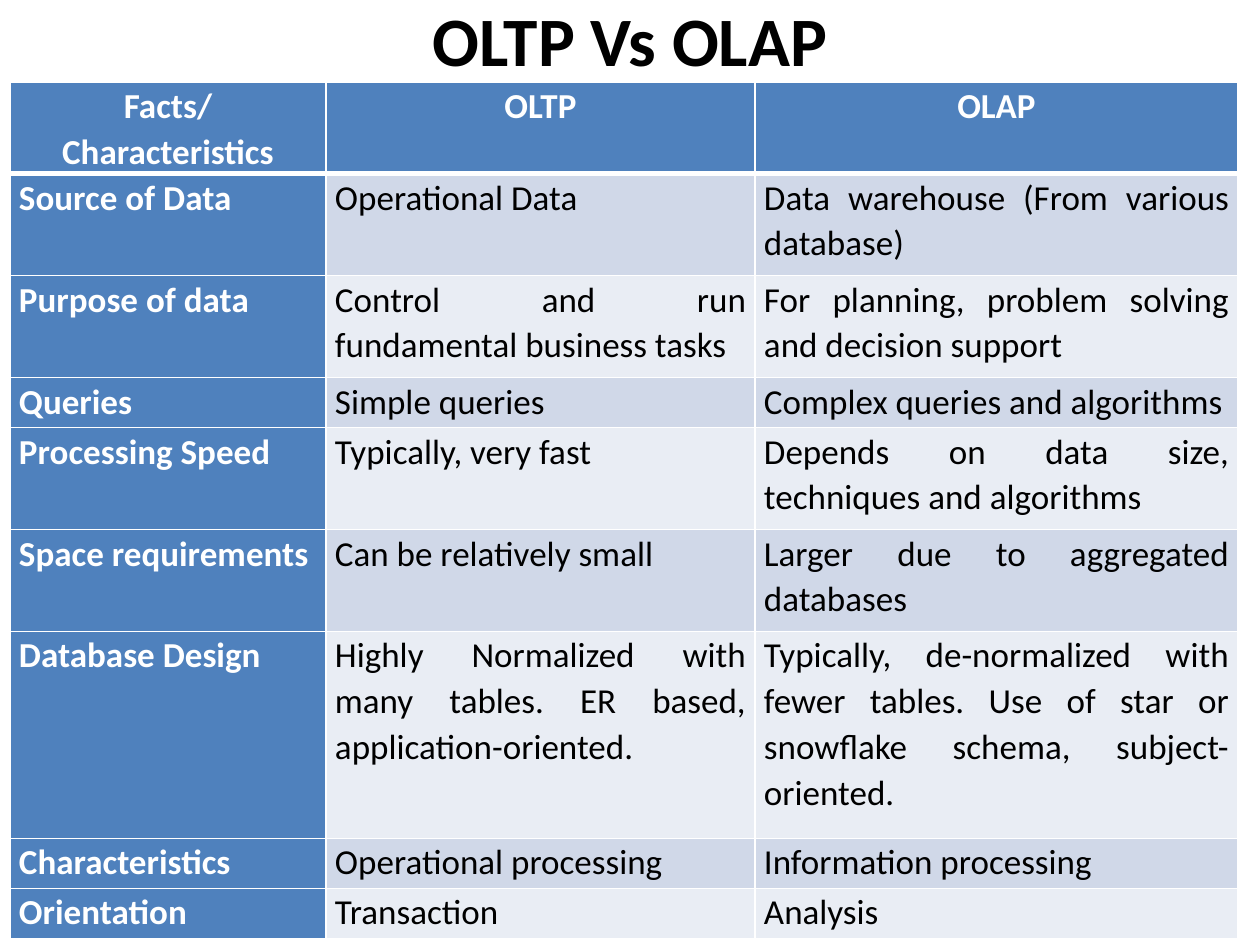
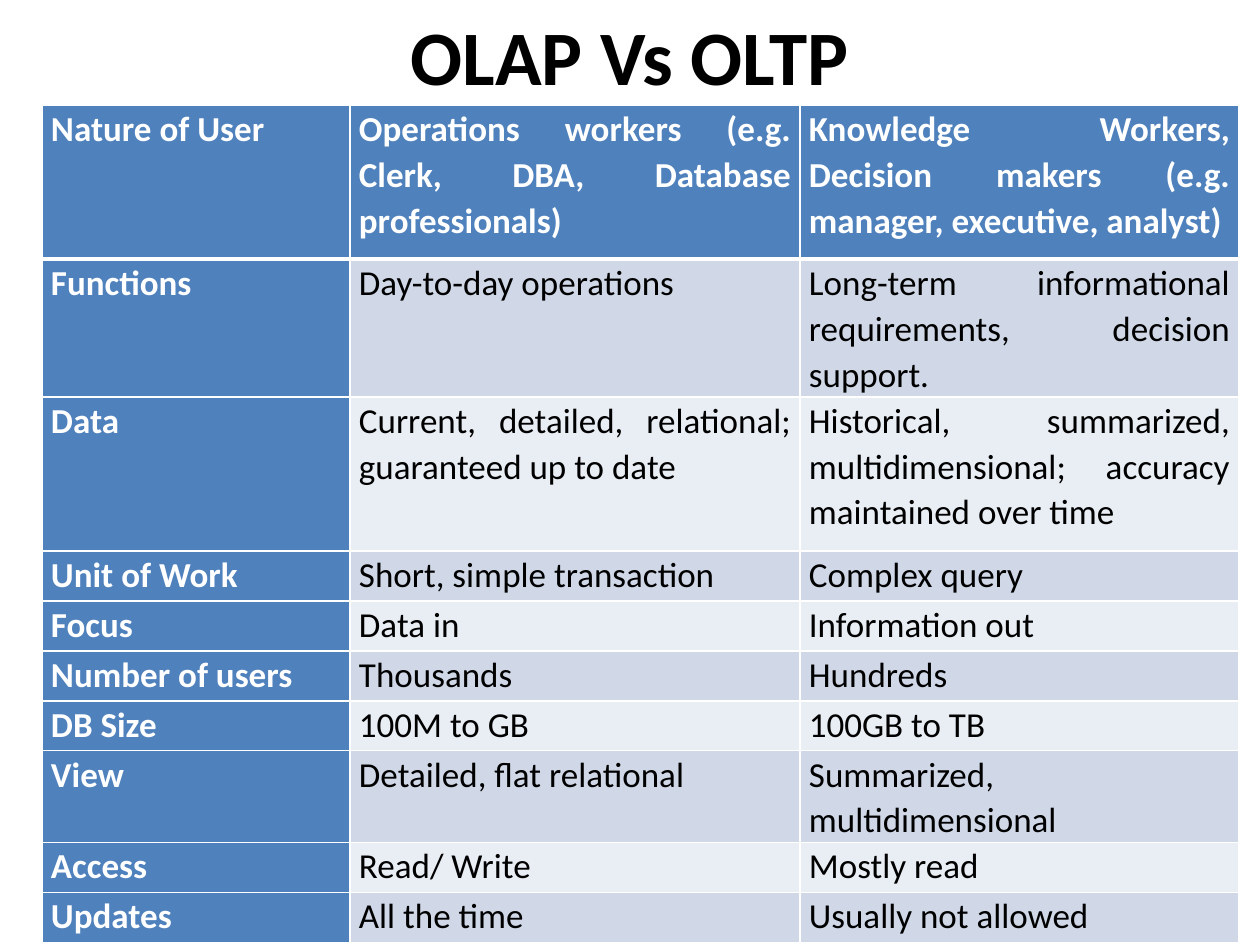
from dataclasses import dataclass

from lxml.etree import SubElement
from pptx import Presentation
from pptx.dml.color import RGBColor as Color
from pptx.enum.text import MSO_ANCHOR as Anchor, MSO_AUTO_SIZE as AutoSize, PP_ALIGN as Align
from pptx.oxml.ns import qn
from pptx.util import Emu, Pt


@dataclass(frozen=True)
class Theme:
    font: str = "Calibri"
    text: str = "000000"
    inverse: str = "FFFFFF"
    heading_fill: str = "4F81BD"
    bands: tuple = ("D0D8E8", "E9EDF4")
    rule: str = "FFFFFF"
    table_size: int = 20
    line_spacing: float = 1.07
    thin: int = 1
    thick: int = 3


THEME = Theme()
PX_PER_INCH = 126
SLIDE_WIDTH, SLIDE_HEIGHT = 1260, 945
TITLE_LEFT, TITLE_WIDTH = 63, 1134
CELL_MARGIN = 9
TITLE_ONLY_LAYOUT = 5

COMPARISONS = [
    {
        "title": "OLTP Vs OLAP",
        "title_size": 39.6,
        "title_height": 78,
        "origin": (10, 82),
        "columns": (316, 429, 483),
        "heading_align": Align.CENTER,
        "rows": [
            (91, "Facts/Characteristics", "OLTP", "OLAP"),
            (102, "Source of Data", "Operational Data", "Data warehouse (From various database)"),
            (102, "Purpose of data", "Control and run fundamental business tasks",
             "For planning, problem solving and decision support"),
            (50, "Queries", "Simple queries", "Complex queries and algorithms"),
            (102, "Processing Speed", "Typically, very fast",
             "Depends on data size, techniques and algorithms"),
            (102, "Space requirements", "Can be relatively small",
             "Larger due to aggregated databases"),
            (207, "Database Design",
             "Highly Normalized with many tables. ER based, application-oriented.",
             "Typically, de-normalized with fewer tables. Use of star or snowflake schema, "
             "subject-oriented."),
            (50, "Characteristics", "Operational processing", "Information processing"),
            (50, "Orientation", "Transaction", "Analysis"),
        ],
    },
    {
        "title": "OLAP Vs OLTP",
        "title_size": 44,
        "title_height": 110,
        "origin": (42, 105),
        "columns": (308, 450, 439),
        "heading_align": Align.JUSTIFY,
        "rows": [
            (154, "Nature of User", "Operations workers (e.g. Clerk, DBA, Database professionals)",
             "Knowledge Workers, Decision makers (e.g. manager, executive, analyst)"),
            (138, "Functions", "Day-to-day operations",
             "Long-term informational requirements, decision support."),
            (154, "Data", "Current, detailed, relational; guaranteed up to date",
             "Historical, summarized, multidimensional; accuracy maintained over time"),
            (50, "Unit of Work", "Short, simple transaction", "Complex query"),
            (50, "Focus", "Data in", "Information out"),
            (50, "Number of users", "Thousands", "Hundreds"),
            (50, "DB Size", "100M to GB", "100GB to TB"),
            (91, "View", "Detailed, flat relational", "Summarized, multidimensional"),
            (50, "Access", "Read/ Write", "Mostly read"),
            (50, "Updates", "All the time", "Usually not allowed"),
        ],
    },
]


def px(length):
    return Emu(round(length * 914400 / PX_PER_INCH))


def write_text(frame, text, *, size, color, bold=False, align=Align.JUSTIFY, spacing=None):
    frame.word_wrap = True
    paragraph = frame.paragraphs[0]
    paragraph.alignment = align
    if spacing:
        paragraph.line_spacing = spacing
    run = paragraph.add_run()
    run.text = text
    run.font.name = THEME.font
    run.font.size = Pt(size)
    run.font.bold = bold
    run.font.color.rgb = Color.from_string(color)


def set_borders(cell, **widths):
    properties = cell._tc.get_or_add_tcPr()
    for side in "LRTB":
        width = Pt(widths.get(side, THEME.thin))
        line = SubElement(properties, qn(f"a:ln{side}"), w=str(width))
        fill = SubElement(line, qn("a:solidFill"))
        SubElement(fill, qn("a:srgbClr"), val=THEME.rule)


def format_cell(cell, text, row, column, heading_align):
    is_heading = row == 0 or column == 0
    set_borders(
        cell,
        T=THEME.thick if row == 1 else THEME.thin,
        B=THEME.thick if row == 0 else THEME.thin,
    )
    cell.margin_left = cell.margin_right = px(CELL_MARGIN)
    cell.margin_top = cell.margin_bottom = 0
    cell.vertical_anchor = Anchor.TOP
    cell.fill.solid()
    fill = THEME.heading_fill if is_heading else THEME.bands[(row - 1) % 2]
    cell.fill.fore_color.rgb = Color.from_string(fill)
    write_text(
        cell.text_frame, text,
        size=THEME.table_size,
        color=THEME.inverse if is_heading else THEME.text,
        bold=is_heading,
        align=heading_align if row == 0 else Align.JUSTIFY,
        spacing=THEME.line_spacing,
    )


def add_title(slide, comparison):
    title = slide.shapes.title
    title.left, title.top = px(TITLE_LEFT), 0
    title.width, title.height = px(TITLE_WIDTH), px(comparison["title_height"])
    title.text_frame.auto_size = AutoSize.NONE
    title.text_frame.vertical_anchor = Anchor.MIDDLE
    write_text(title.text_frame, comparison["title"], size=comparison["title_size"],
               color=THEME.text, bold=True, align=Align.CENTER)


def add_comparison_table(slide, comparison):
    rows, columns = comparison["rows"], comparison["columns"]
    left, top = comparison["origin"]
    height = sum(row[0] for row in rows)
    table = slide.shapes.add_table(
        len(rows), len(columns), px(left), px(top), px(sum(columns)), px(height)
    ).table
    table.first_col = True
    for column, width in enumerate(columns):
        table.columns[column].width = px(width)
    for row, (row_height, *texts) in enumerate(rows):
        table.rows[row].height = px(row_height)
        for column, text in enumerate(texts):
            format_cell(table.cell(row, column), text, row, column, comparison["heading_align"])


def main():
    presentation = Presentation()
    presentation.slide_width, presentation.slide_height = px(SLIDE_WIDTH), px(SLIDE_HEIGHT)
    for comparison in COMPARISONS:
        slide = presentation.slides.add_slide(presentation.slide_layouts[TITLE_ONLY_LAYOUT])
        add_title(slide, comparison)
        add_comparison_table(slide, comparison)
    presentation.save("out.pptx")


if __name__ == "__main__":
    main()
